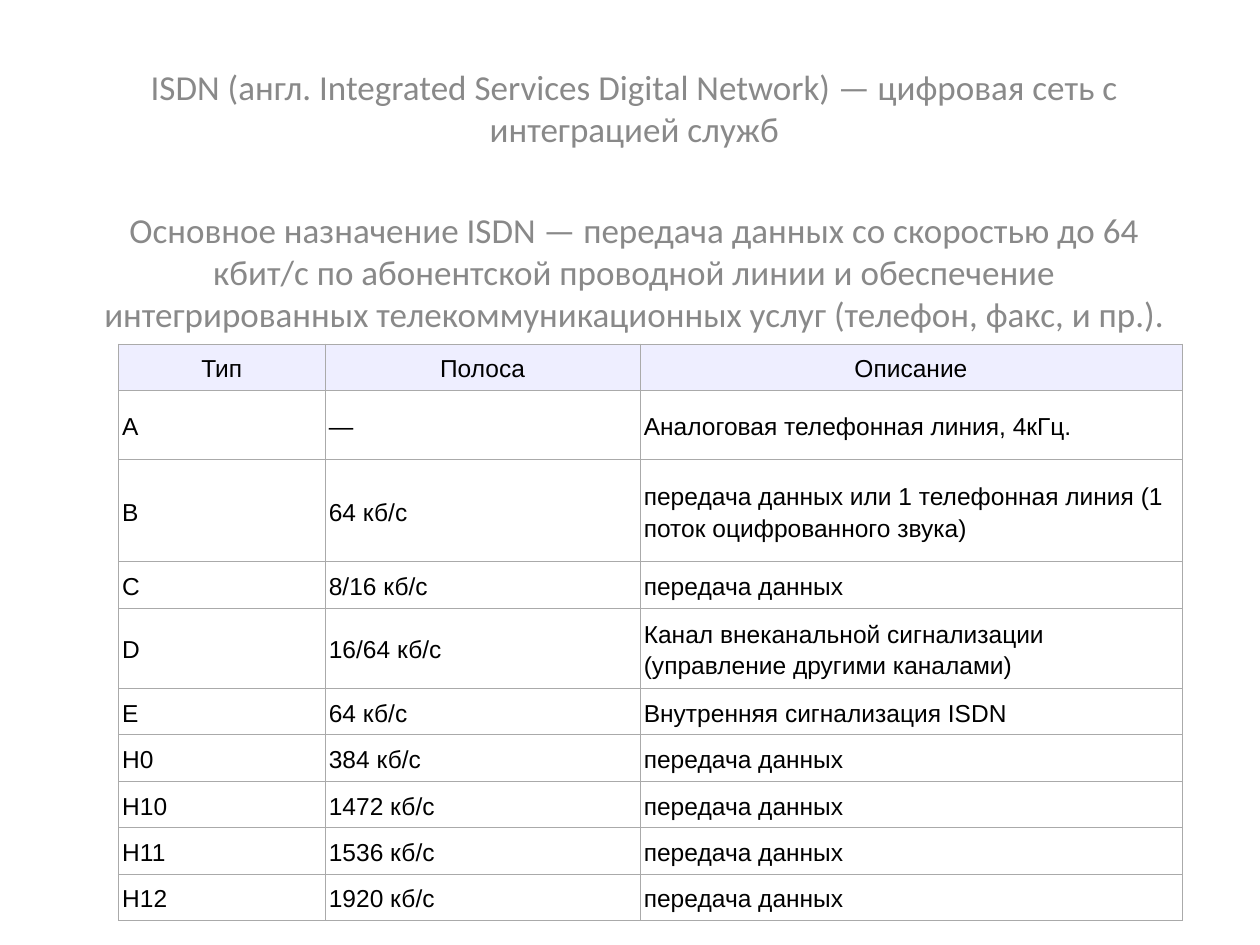
from pptx import Presentation
from pptx.dml.color import RGBColor
from pptx.enum.text import MSO_ANCHOR as Anchor, PP_ALIGN as Align
from pptx.oxml import parse_xml
from pptx.oxml.ns import nsdecls
from pptx.util import Inches, Pt

GREY = RGBColor(0x89, 0x89, 0x89)
BLACK = RGBColor(0x00, 0x00, 0x00)
HEADER_FILL = RGBColor(0xEE, 0xEE, 0xFF)
BORDER = RGBColor(0xAA, 0xAA, 0xAA)

INTRO = [
    "ISDN (англ. Integrated Services Digital Network) — цифровая сеть с интеграцией служб",
    "Основное назначение ISDN — передача данных со скоростью до 64 кбит/с по абонентской "
    "проводной линии и обеспечение интегрированных телекоммуникационных услуг "
    "(телефон, факс, и пр.).",
]
DATA = "передача данных"
CHANNELS = [
    ("Тип", "Полоса", "Описание"),
    ("A", "—", "Аналоговая телефонная линия, 4кГц."),
    ("B", "64 кб/с", "передача данных или 1 телефонная линия (1 поток оцифрованного звука)"),
    ("C", "8/16 кб/с", DATA),
    ("D", "16/64 кб/с", "Канал внеканальной сигнализации (управление другими каналами)"),
    ("E", "64 кб/с", "Внутренняя сигнализация ISDN"),
    ("H0", "384 кб/с", DATA),
    ("H10", "1472 кб/с", DATA),
    ("H11", "1536 кб/с", DATA),
    ("H12", "1920 кб/с", DATA),
]
COLUMN_WIDTHS = [1.64, 2.5, 4.3]
ROW_HEIGHT = 0.35
TALL_ROWS = {1: 0.55, 2: 0.81, 4: 0.6}


def write(para, text, font, size, color, align=Align.LEFT, before=None, spacing=None):
    para.alignment = align
    if before is not None:
        para.space_before = Pt(before)
    if spacing is not None:
        para.line_spacing = spacing
    span = para.add_run()
    span.text = text
    span.font.name = font
    span.font.size = Pt(size)
    span.font.color.rgb = color


def set_borders(cell):
    props = cell._tc.get_or_add_tcPr()
    # Borders come before the fill in the cell properties
    for index, side in enumerate(("lnL", "lnR", "lnT", "lnB")):
        props.insert(index, parse_xml(
            f'<a:{side} {nsdecls("a")} w="{Pt(0.45)}"><a:solidFill>'
            f'<a:srgbClr val="{BORDER}"/></a:solidFill></a:{side}>'))


def add_intro(page, left, top, width, height):
    box = page.shapes.add_textbox(left, top, width, height)
    frame = box.text_frame
    frame.word_wrap = True
    for index, text in enumerate(INTRO):
        para = frame.add_paragraph() if index else frame.paragraphs[0]
        write(para, text, "Calibri", 20, GREY, align=Align.CENTER,
              before=34 if index else None)


def add_channel_table(page, left, top, width, height):
    table = page.shapes.add_table(len(CHANNELS), len(COLUMN_WIDTHS),
                                  left, top, width, height).table
    table.horz_banding = False
    for column, column_width in zip(table.columns, COLUMN_WIDTHS):
        column.width = Inches(column_width)
    for row_index, texts in enumerate(CHANNELS):
        is_header = row_index == 0
        table.rows[row_index].height = Inches(TALL_ROWS.get(row_index, ROW_HEIGHT))
        for column_index, text in enumerate(texts):
            cell = table.cell(row_index, column_index)
            cell.vertical_anchor = Anchor.MIDDLE
            cell.margin_left = cell.margin_right = Inches(0.03)
            cell.margin_top = cell.margin_bottom = Inches(0.05)
            if is_header:
                cell.fill.solid()
                cell.fill.fore_color.rgb = HEADER_FILL
            else:
                cell.fill.background()
            set_borders(cell)
            write(cell.text_frame.paragraphs[0], text, "Arial", 14, BLACK, spacing=1.15,
                  align=Align.CENTER if is_header else Align.LEFT)
            cell.text_frame.paragraphs[0].runs[0].font.bold = False


def main():
    deck = Presentation()
    deck.slide_width, deck.slide_height = Inches(10), Inches(7.5)
    page = deck.slides.add_slide(deck.slide_layouts[6])
    # Definition and purpose
    add_intro(page, Inches(0.62), Inches(0.47), Inches(8.83), Inches(2.27))
    # Channel types
    add_channel_table(page, Inches(0.94), Inches(2.73), Inches(8.44), Inches(4.43))
    deck.save("out.pptx")


if __name__ == "__main__":
    main()
